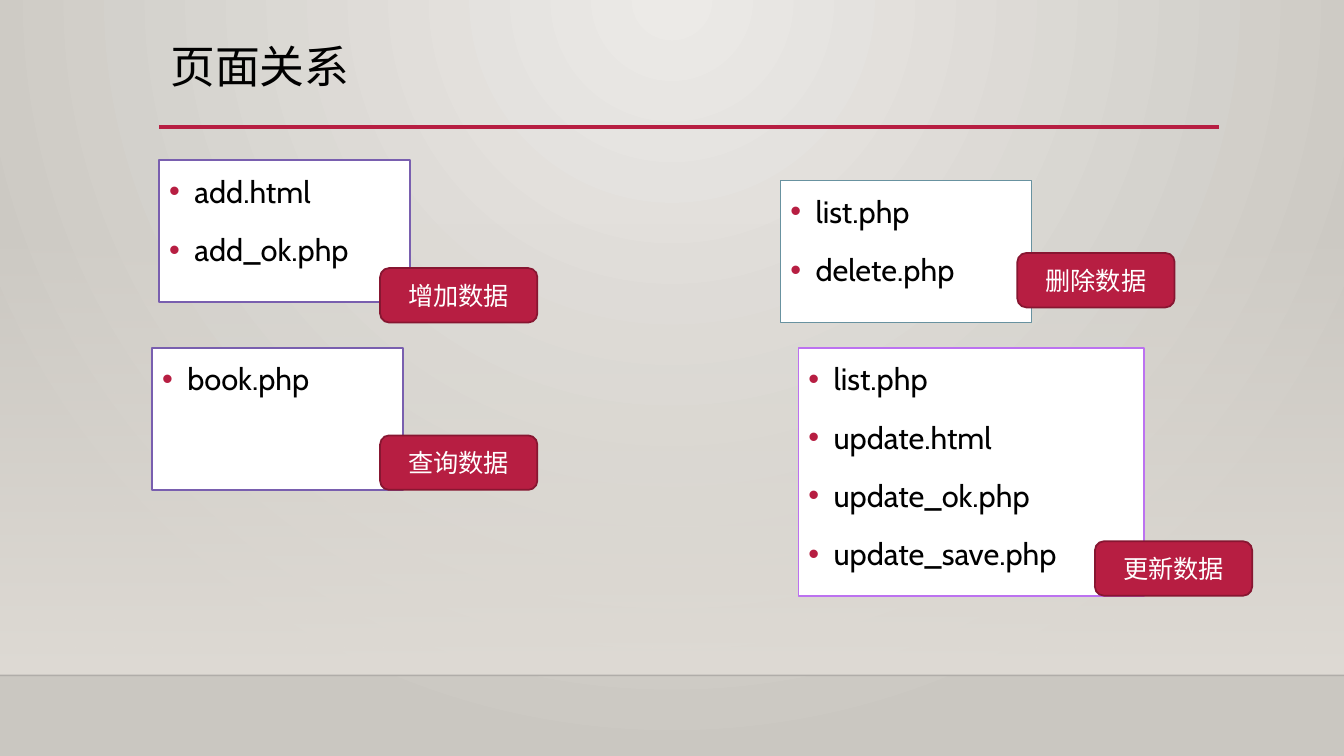
from dataclasses import dataclass

from lxml import etree
from pptx import Presentation
from pptx.dml.color import RGBColor
from pptx.dml.fill import FillFormat
from pptx.enum import shapes, text
from pptx.oxml import ns
from pptx.shapes.autoshape import Shape
from pptx.slide import Slide
from pptx.text.text import _Paragraph as Paragraph
from pptx.util import Inches, Pt

FONT = "Cabin"
BLACK = RGBColor(0x00, 0x00, 0x00)
WHITE = RGBColor(0xFF, 0xFF, 0xFF)
CRIMSON = RGBColor(0xB7, 0x1E, 0x42)
DARK_CRIMSON = RGBColor(0x87, 0x16, 0x31)
PURPLE = RGBColor(0x79, 0x5F, 0xAF)
TEAL = RGBColor(0x68, 0x92, 0xA0)
VIOLET = RGBColor(0xBC, 0x72, 0xF0)
WALL_LIGHT = RGBColor(0xEC, 0xEA, 0xE7)
WALL_DARK = RGBColor(0xCA, 0xC7, 0xC1)
HAZE = RGBColor(0xDF, 0xDB, 0xD5)
FLOOR_EDGE = RGBColor(0x00, 0x00, 0x01)

SLIDE_WIDTH, SLIDE_HEIGHT = 13.33, 7.5
FLOOR_TOP = 6.7
TAG_WIDTH, TAG_HEIGHT = 1.56, 0.54


@dataclass
class PageGroup:
    """A box of page files and the tag naming what they do."""
    left: float
    top: float
    border: RGBColor
    pages: list[str]
    action: str
    tag_left: float
    tag_top: float
    width: float = 2.49
    height: float = 1.41


GROUPS = [
    PageGroup(1.58, 1.59, PURPLE, ["add.html", "add_ok.php"], "增加数据", 3.77, 2.66),
    PageGroup(1.51, 3.45, PURPLE, ["book.php"], "查询数据", 3.77, 4.32),
    PageGroup(7.74, 1.79, TEAL, ["list.php", "delete.php"], "删除数据", 10.09, 2.51),
    PageGroup(7.92, 3.45, VIOLET,
              ["list.php", "update.html", "update_ok.php", "update_save.php"],
              "更新数据", 10.86, 5.37, width=3.43, height=2.46),
]


def add_child(parent: etree._Element, tag: str, **attributes: str) -> etree._Element:
    return etree.SubElement(parent, ns.qn(tag), attributes)


def set_gradient(fill: FillFormat, first: RGBColor, last: RGBColor) -> None:
    fill.gradient()
    for stop, color in zip(fill.gradient_stops, (first, last)):
        stop.color.rgb = color


def paint_background(slide: Slide) -> None:
    set_gradient(slide.background.fill, WALL_LIGHT, WALL_DARK)
    gradient = slide.element.find(".//" + ns.qn("a:gradFill"))
    gradient.remove(gradient.find(ns.qn("a:lin")))
    circle = add_child(gradient, "a:path", path="circle")
    add_child(circle, "a:fillToRect", l="43000", t="0", r="43000", b="100000")


def add_haze(slide: Slide) -> None:
    """Add the band that fades in from transparent down to the floor."""
    top = 2.21
    haze = slide.shapes.add_shape(shapes.MSO_SHAPE.RECTANGLE, 0, Inches(top),
                                  Inches(SLIDE_WIDTH), Inches(FLOOR_TOP - top))
    haze.shadow.inherit = False
    haze.line.fill.background()
    set_gradient(haze.fill, HAZE, HAZE)
    haze.fill.gradient_angle = 270
    add_child(haze.element.find(".//" + ns.qn("a:srgbClr")), "a:alpha", val="0")


def add_rule(slide: Slide, left: float, right: float, top: float,
             color: RGBColor, weight: float, opacity: int = 100) -> None:
    rule = slide.shapes.add_connector(shapes.MSO_CONNECTOR.STRAIGHT, Inches(left),
                                      Inches(top), Inches(right), Inches(top))
    rule.line.color.rgb = color
    rule.line.width = Pt(weight)
    if opacity < 100:
        color_node = rule.element.find(".//" + ns.qn("a:srgbClr"))
        add_child(color_node, "a:alpha", val=str(opacity * 1000))
    add_child(rule.element.spPr, "a:effectLst")


def style_text(para: Paragraph, size: float, color: RGBColor) -> None:
    for span in para.runs:
        span.font.name = FONT
        span.font.size = Pt(size)
        span.font.color.rgb = color


def add_title(slide: Slide, title: str) -> None:
    box = slide.shapes.add_textbox(Inches(1.59), Inches(0.39), Inches(10.5), Inches(1.15))
    box.text_frame.word_wrap = True
    box.text_frame.text = title
    para = box.text_frame.paragraphs[0]
    para.line_spacing = 0.9
    style_text(para, 32, BLACK)


def add_panel(slide: Slide, kind: shapes.MSO_SHAPE, left: float, top: float, width: float,
              height: float, fill: RGBColor, border: RGBColor) -> Shape:
    panel = slide.shapes.add_shape(kind, Inches(left), Inches(top),
                                   Inches(width), Inches(height))
    panel.shadow.inherit = False
    panel.fill.solid()
    panel.fill.fore_color.rgb = fill
    panel.line.color.rgb = border
    panel.line.width = Pt(1.25)
    panel.text_frame.word_wrap = True
    return panel


def format_bullet(para: Paragraph) -> None:
    para.alignment = text.PP_ALIGN.LEFT
    para.line_spacing = 1.2
    para.space_before = Pt(10)
    properties = para._p.get_or_add_pPr()
    properties.set("marL", str(Inches(0.25)))
    properties.set("indent", str(-Inches(0.25)))
    bullet_color = add_child(properties, "a:buClr")
    add_child(bullet_color, "a:srgbClr", val=str(CRIMSON))
    add_child(properties, "a:buFont", typeface="Arial")
    add_child(properties, "a:buChar", char="•")
    style_text(para, 22, BLACK)


def add_page_box(slide: Slide, group: PageGroup) -> None:
    box = add_panel(slide, shapes.MSO_SHAPE.RECTANGLE, group.left, group.top,
                    group.width, group.height, WHITE, group.border)
    box.text_frame.vertical_anchor = text.MSO_ANCHOR.TOP
    box.text_frame.text = "\n".join(group.pages)
    for para in box.text_frame.paragraphs:
        format_bullet(para)


def add_action_tag(slide: Slide, group: PageGroup) -> None:
    tag = add_panel(slide, shapes.MSO_SHAPE.ROUNDED_RECTANGLE, group.tag_left, group.tag_top,
                    TAG_WIDTH, TAG_HEIGHT, CRIMSON, DARK_CRIMSON)
    tag.text_frame.vertical_anchor = text.MSO_ANCHOR.MIDDLE
    tag.text_frame.text = group.action
    para = tag.text_frame.paragraphs[0]
    para.alignment = text.PP_ALIGN.CENTER
    style_text(para, 18, WHITE)


def main() -> None:
    deck = Presentation()
    deck.slide_width = Inches(SLIDE_WIDTH)
    deck.slide_height = Inches(SLIDE_HEIGHT)
    slide = deck.slides.add_slide(deck.slide_layouts[6])

    paint_background(slide)
    add_haze(slide)
    add_rule(slide, 0, SLIDE_WIDTH, FLOOR_TOP, FLOOR_EDGE, 1, opacity=20)
    add_rule(slide, 1.58, 12.09, 1.26, CRIMSON, 2.5)
    add_title(slide, "页面关系")
    for group in GROUPS:
        add_page_box(slide, group)
    for group in GROUPS:
        add_action_tag(slide, group)

    deck.save("out.pptx")


if __name__ == "__main__":
    main()
